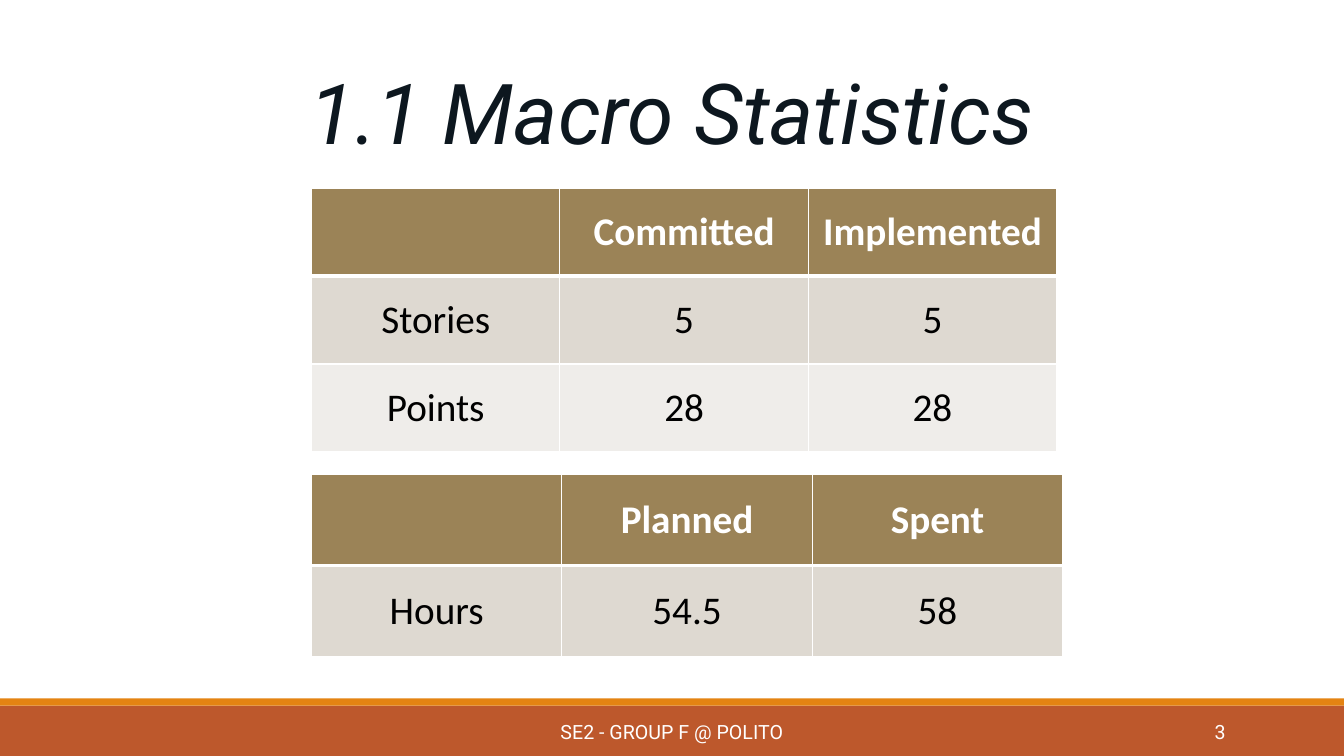
from lxml import etree
from pptx import Presentation, util as u
from pptx.dml.color import RGBColor
from pptx.enum import shapes, text
from pptx.oxml.ns import qn

Cm = u.Cm
MID = text.MSO_ANCHOR.MIDDLE


def paint(fill, tone):
    fill.solid()
    fill.fore_color.rgb = RGBColor.from_string(tone)


def write(frame, words, size=14, face="Roboto", tone="FFFFFF", bold=False,
          slant=False, align=text.PP_ALIGN.CENTER):
    par = frame.paragraphs[0]
    par.alignment = align
    run = par.add_run()
    run.text = words
    font = run.font
    font.size, font.name, font.bold, font.italic = u.Pt(size), face, bold, slant
    font.color.rgb = RGBColor.from_string(tone)


deck = Presentation()
deck.slide_width, deck.slide_height = Cm(33.87), Cm(19.05)
slide = deck.slides.add_slide(deck.slide_layouts[5])

# Footer bands
for top, high, tone in [(17.78, 1.27, "BD582C"), (17.6, 0.18, "E48312")]:
    band = slide.shapes.add_shape(shapes.MSO_SHAPE.RECTANGLE, 0, Cm(top),
                                  deck.slide_width, Cm(high))
    band.shadow.inherit = False
    paint(band.fill, tone)
    band.line.fill.background()

# Footer text and slide number
for left, wide, words, align in [
        (10.24, 13.39, "SE2 - GROUP F @ POLITO", text.PP_ALIGN.CENTER),
        (27.51, 3.63, "3", text.PP_ALIGN.RIGHT)]:
    box = slide.shapes.add_textbox(Cm(left), Cm(17.93), Cm(wide), Cm(1.02))
    box.text_frame.word_wrap = True
    box.text_frame.vertical_anchor = MID
    write(box.text_frame, words, align=align)

# Title
title = slide.shapes.title
title.left, title.top, title.width, title.height = Cm(5.03), Cm(1.4), Cm(23.8), Cm(2.82)
title.text_frame.vertical_anchor = text.MSO_ANCHOR.TOP
write(title.text_frame, "1.1 Macro Statistics", size=60, tone="0D171F", slant=True)

# Tables: top, column width, row height, rows
tables = [
    (4.75, 6.26, 2.21, [["", "Committed", "Implemented"],
                        ["Stories", "5", "5"],
                        ["Points", "28", "28"]]),
    (11.96, 6.31, 2.29, [["", "Planned", "Spent"],
                         ["Hours", "54.5", "58"]]),
]
tones = ["9B8357", "DED9D1", "EFEDEA"]
for top, wide, high, rows in tables:
    grid = slide.shapes.add_table(len(rows), 3, Cm(7.85), Cm(top),
                                  Cm(wide * 3), Cm(high * len(rows))).table
    for col in grid.columns:
        col.width = Cm(wide)
    for r, row in enumerate(rows):
        grid.rows[r].height = Cm(high)
        head = r == 0
        for c, words in enumerate(row):
            cell = grid.cell(r, c)
            cell.vertical_anchor = MID
            # White borders, thick below the header and above the first row
            for side in "LRTB":
                thick = (r, side) in [(0, "B"), (1, "T")]
                edge = etree.SubElement(cell._tc.get_or_add_tcPr(), qn("a:ln" + side),
                                        w=str(u.Pt(3 if thick else 1)))
                ink = etree.SubElement(edge, qn("a:solidFill"))
                etree.SubElement(ink, qn("a:srgbClr"), val="FFFFFF")
            paint(cell.fill, tones[r])
            if words:
                write(cell.text_frame, words, size=28, face="Calibri", bold=head,
                      tone="FFFFFF" if head else "000000")

deck.save("out.pptx")
